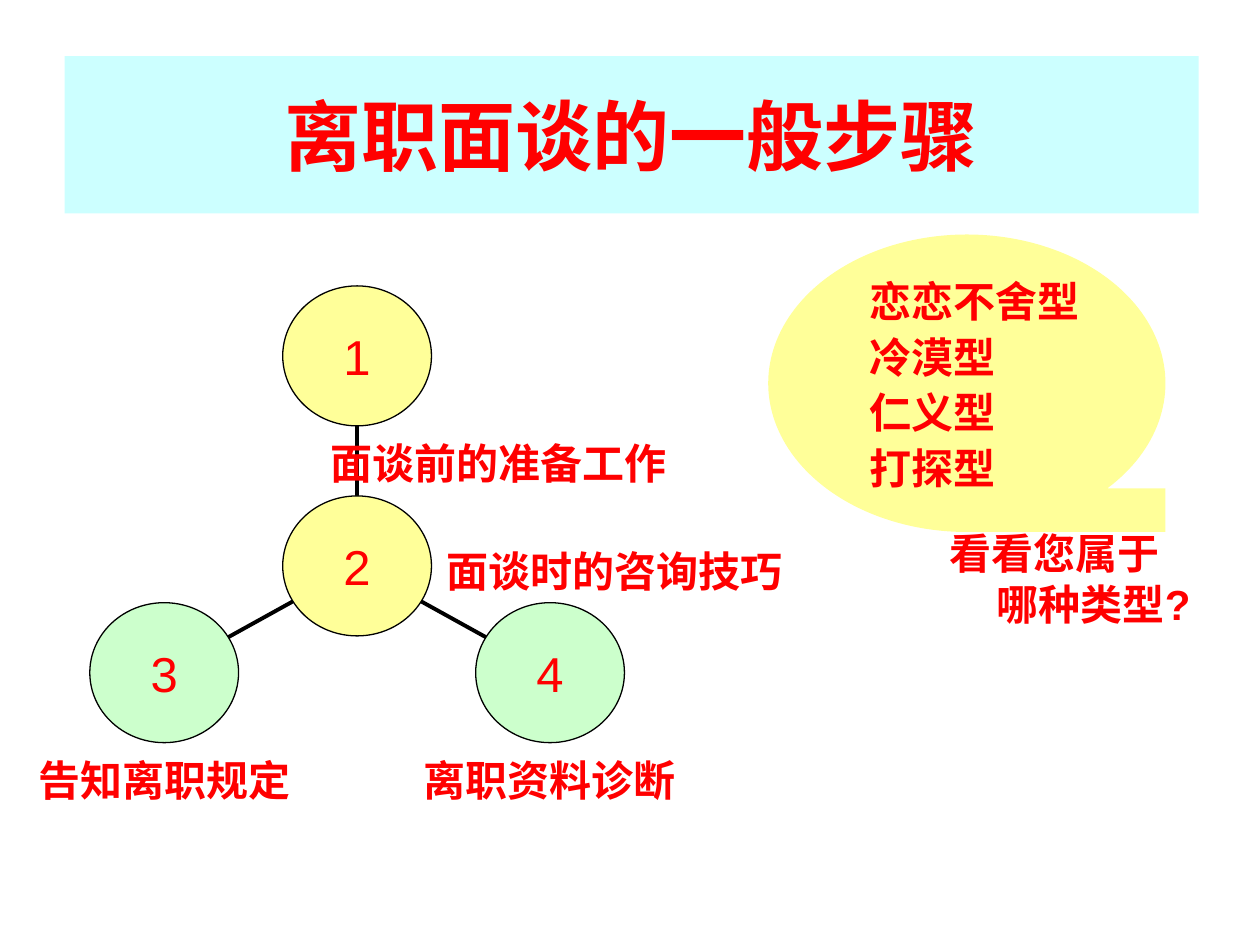
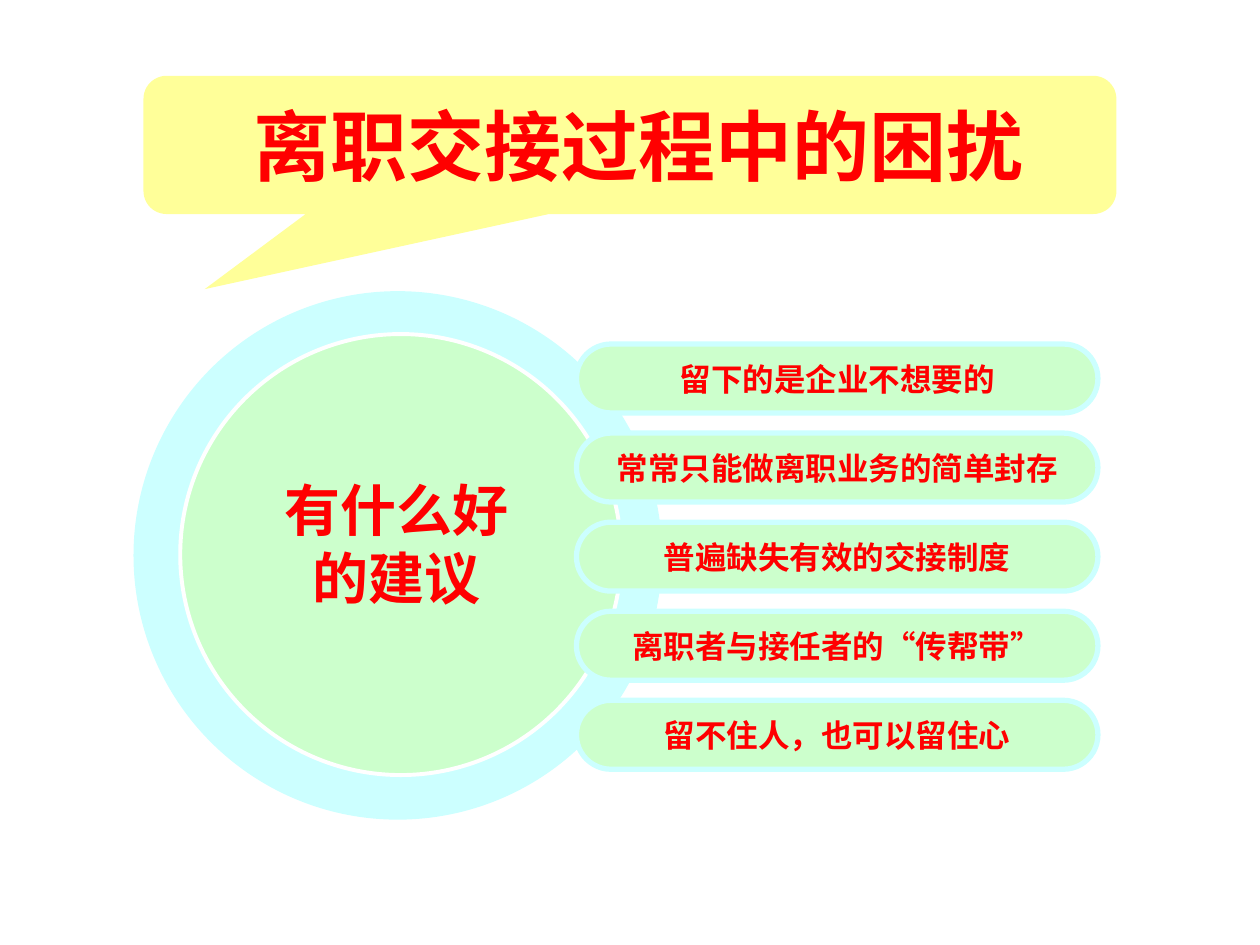
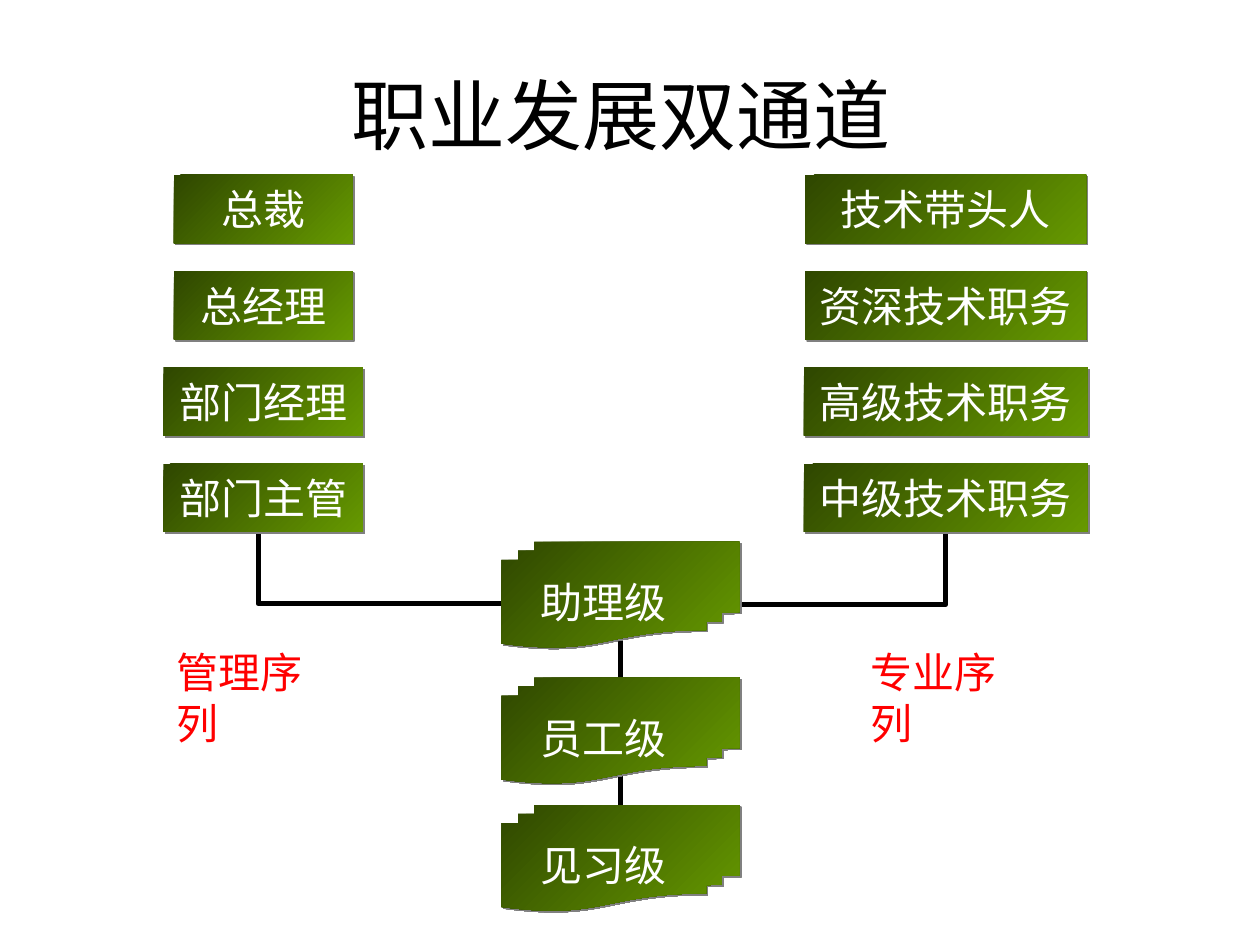
from math import hypot

from lxml import etree
from pptx import Presentation
from pptx import util as u
from pptx.dml import color
from pptx.enum import shapes, text
from pptx.oxml import ns

Pt = u.Pt
KIND = shapes.MSO_SHAPE
CENTER, LEFT = text.PP_ALIGN.CENTER, text.PP_ALIGN.LEFT
MIDDLE, TOP = text.MSO_ANCHOR.MIDDLE, text.MSO_ANCHOR.TOP

RED, BLACK, WHITE = "FF0000", "000000", "FFFFFF"
YELLOW, CYAN, MINT = "FFFF99", "CCFFFF", "CCFFCC"
DARK_GREEN, GREEN, GREY = "2F4700", "669900", "808080"
SANS, SERIF = "Arial", "Times New Roman"


def rgb(value):
    return color.RGBColor.from_string(value)


def add_shadow(effects, shade, distance):
    """Put a hard shadow, down and to the right, in an effect list."""
    shadow = etree.SubElement(effects, ns.qn("a:outerShdw"), dist=str(Pt(distance)),
                              dir="2700000", algn="ctr", rotWithShape="0")
    etree.SubElement(shadow, ns.qn("a:srgbClr"), val=shade)


def write(shape, lines, size, shade=RED, font=SANS, bold=False, align=CENTER,
          anchor=MIDDLE, wrap=False):
    frame = shape.text_frame
    frame.text = lines
    frame.word_wrap = wrap
    frame.vertical_anchor = anchor
    for para in frame.paragraphs:
        para.alignment = align
        for span in para.runs:
            span.font.name, span.font.size, span.font.bold = font, Pt(size), bold
            span.font.color.rgb = rgb(shade)
    return frame


def add_label(page, box, lines, size, **style):
    label = page.shapes.add_textbox(*map(Pt, box))
    return write(label, lines, size, **style)


def add_figure(page, kind, box, fill, line=None, weight=0.75):
    figure = page.shapes.add_shape(kind, *map(Pt, box))
    figure.shadow.inherit = False
    figure.fill.solid()
    figure.fill.fore_color.rgb = rgb(fill)
    if line:
        figure.line.color.rgb = rgb(line)
        figure.line.width = Pt(weight)
    else:
        figure.line.fill.background()
    return figure


def add_line(page, start, end, weight, corner=False):
    """Draw a straight line, or one that runs across and then turns up or down."""
    kind = shapes.MSO_CONNECTOR.ELBOW if corner else shapes.MSO_CONNECTOR.STRAIGHT
    line = page.shapes.add_connector(kind, *map(Pt, start + end))
    line.line.color.rgb = rgb(BLACK)
    line.line.width = Pt(weight)
    properties = line._element.spPr
    if corner:
        properties.find(ns.qn("a:prstGeom")).set("prst", "bentConnector2")
    etree.SubElement(properties, ns.qn("a:effectLst"))


def add_title(page, left, top, words, shade=RED, bold=True, fill=None):
    box = (left, top, 648, 90)
    if fill:
        band = add_figure(page, KIND.RECTANGLE, box, fill)
        write(band, words, 44, shade, bold=bold, wrap=True)
    else:
        add_label(page, box, words, 44, shade=shade, bold=bold, wrap=True)


# Slide 1: interview steps

def add_steps(page, box):
    left, top, width, height = box
    wide, high = 85, 80
    middle = left + width / 2
    hub = (middle, top + 160)
    low = top + height - high / 2
    # centre, fill, caption, caption centre
    steps = [
        ((middle, top + high / 2), YELLOW, "面谈前的准备工作", (middle + 81, top + 101)),
        (hub, YELLOW, "面谈时的咨询技巧", (middle + 147, top + 163)),
        ((left + wide / 2, low), MINT, "告知离职规定", (left + wide / 2, low + 61)),
        ((left + width - wide / 2, low), MINT, "离职资料诊断",
         (left + width - wide / 2, low + 61)),
    ]
    # Links run between the edges of the circles
    for center, *_ in steps[:1] + steps[2:]:
        dx, dy = center[0] - hub[0], center[1] - hub[1]
        reach = hypot(dx / (wide / 2), dy / (high / 2))
        dx_edge, dy_edge = dx / reach, dy / reach
        add_line(page, (hub[0] + dx_edge, hub[1] + dy_edge),
                 (center[0] - dx_edge, center[1] - dy_edge), 2.25)
    for number, ((x, y), fill, caption, (cx, cy)) in enumerate(steps, 1):
        circle = add_figure(page, KIND.OVAL, (x - wide / 2, y - high / 2, wide, high),
                            fill, BLACK)
        write(circle, str(number), 28)
        add_label(page, (cx - 105, cy - 18, 210, 36), caption, 24, bold=True)


def hang(frame, spacing=None):
    for index, para in enumerate(frame.paragraphs):
        para._p.get_or_add_pPr().set("marL", str(Pt(27)))
        para._p.get_or_add_pPr().set("indent", str(Pt(-27)))
        if spacing:
            para.line_spacing = spacing
        if index:
            para.space_before = Pt(6)


def add_types(page, box):
    left, top, width, height = box
    style = dict(bold=True, align=LEFT, anchor=TOP, wrap=True)
    add_figure(page, KIND.FLOWCHART_SEQUENTIAL_ACCESS_STORAGE, box, YELLOW)
    hang(add_label(page, (left + 96.5, top + 164, 153.5, 68),
                   "看看您属于哪种类型?", 24, **style))
    hang(add_label(page, (left + 51, top + 23, 170, 159),
                   "恋恋不舍型\n冷漠型\n仁义型\n打探型", 24, **style), 0.9)


def build_steps(page):
    add_types(page, (439, 134, 227, 170))
    add_title(page, 37, 32, "离职面谈的一般步骤", fill=CYAN)
    add_steps(page, (51.3, 163.4, 305.5, 261))


# Slide 2: handover troubles

def add_callout(page, box):
    callout = add_figure(page, KIND.ROUNDED_RECTANGULAR_CALLOUT, box, YELLOW)
    for index, value in enumerate((-0.437, 1.043, 0.167)):
        callout.adjustments[index] = value


def add_wheel(page, box):
    left, top, size, _ = box
    ring = add_figure(page, KIND.DONUT, box, CYAN)
    ring.adjustments[0] = 0.09
    add_figure(page, KIND.OVAL, (left + 26.7, top + 24.5, 252, 252), MINT, WHITE, 2.25)
    frame = add_label(page, (left + size / 2 - 90.5, top + 102, 180, 84),
                      "有什么好\n的建议", 32, bold=True, anchor=TOP, wrap=True)
    for para in frame.paragraphs:
        for span in para.runs:
            effects = etree.Element(ns.qn("a:effectLst"))
            add_shadow(effects, BLACK, 1.5)
            span.font._element.find(ns.qn("a:solidFill")).addnext(effects)


def add_troubles(page, box, troubles):
    left, top, width, height = box
    high = 39.4
    pitch = (height - high) / (len(troubles) - 1)
    for index, words in enumerate(troubles):
        pill = add_figure(page, KIND.ROUNDED_RECTANGLE,
                          (left, top + index * pitch, width, high), MINT, CYAN, 3)
        pill.adjustments[0] = 0.5
        write(pill, words, 18, bold=True)


def build_troubles(page):
    add_callout(page, (82, 43.3, 556, 79))
    add_title(page, 41, 37.4, "离职交接过程中的困扰")
    add_wheel(page, (76.3, 166.4, 302, 302))
    add_troubles(page, (329.4, 196.6, 298, 243), [
        "留下的是企业不想要的",
        "常常只能做离职业务的简单封存",
        "普遍缺失有效的交接制度",
        "离职者与接任者的“传帮带”",
        "留不住人，也可以留住心",
    ])


# Slide 3: two career tracks

def add_post(page, kind, box, words):
    post = add_figure(page, kind, box, GREEN)
    post.fill.gradient()
    post.fill.gradient_angle = 315
    for stop, shade in zip(post.fill.gradient_stops, (DARK_GREEN, GREEN)):
        stop.color.rgb = rgb(shade)
    add_shadow(post._element.spPr.find(ns.qn("a:effectLst")), GREY, 1.4)
    write(post, words, 24, WHITE, SERIF)


def add_track(page, box, posts, name, name_left, join):
    left, top, width, height = box
    high = 39
    pitch = (height - high) / (len(posts) - 1)
    add_label(page, (name_left, top + 266, 110, 36), name, 24, font=SERIF,
              align=LEFT, anchor=TOP)
    foot, start = join
    add_line(page, start, (foot, top + height), 3, corner=True)
    for index, (words, wide) in enumerate(posts):
        add_post(page, KIND.RECTANGLE, (left + (width - wide) / 2, top + index * pitch,
                                        wide, high), words)


def add_shared_levels(page, box):
    left, top, width, height = box
    high = 60.5
    levels = [("助理级", top), ("员工级", top + 77.6), ("见习级", top + height - high)]
    middle = left + width / 2
    for (_, upper), (_, lower) in zip(levels, levels[1:]):
        add_line(page, (middle, upper + high - 5), (middle, lower), 3)
    for words, level_top in levels:
        add_post(page, KIND.FLOWCHART_MULTIDOCUMENT, (left, level_top, width, high), words)


def build_tracks(page):
    add_track(page, (93.4, 100, 114, 204),
              [("总裁", 102), ("总经理", 102), ("部门经理", 114), ("部门主管", 114)],
              "管理序列", 93.6, (147.6, (301, 345)))
    add_track(page, (459.4, 100, 162, 204),
              [("技术带头人", 160.6), ("资深技术职务", 160.6),
               ("高级技术职务", 162), ("中级技术职务", 162)],
              "专业序列", 490.3, (540.5, (405.4, 345.4)))
    add_shared_levels(page, (286.5, 309.6, 136, 211))
    add_title(page, 31, 20.2, "职业发展双通道", BLACK, bold=False)


def main():
    deck = Presentation()
    deck.slide_width, deck.slide_height = Pt(720), Pt(540)
    for build in (build_steps, build_troubles, build_tracks):
        build(deck.slides.add_slide(deck.slide_layouts[6]))
    deck.save("out.pptx")


if __name__ == "__main__":
    main()
